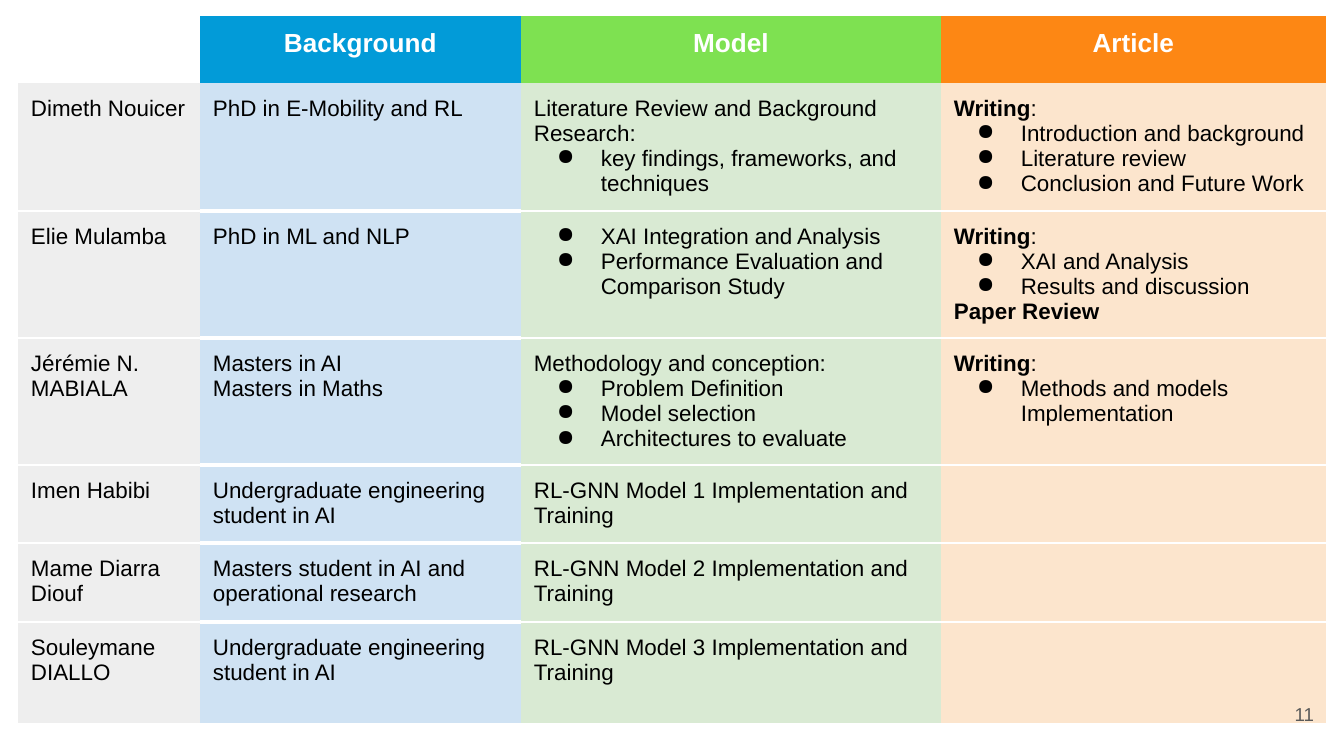
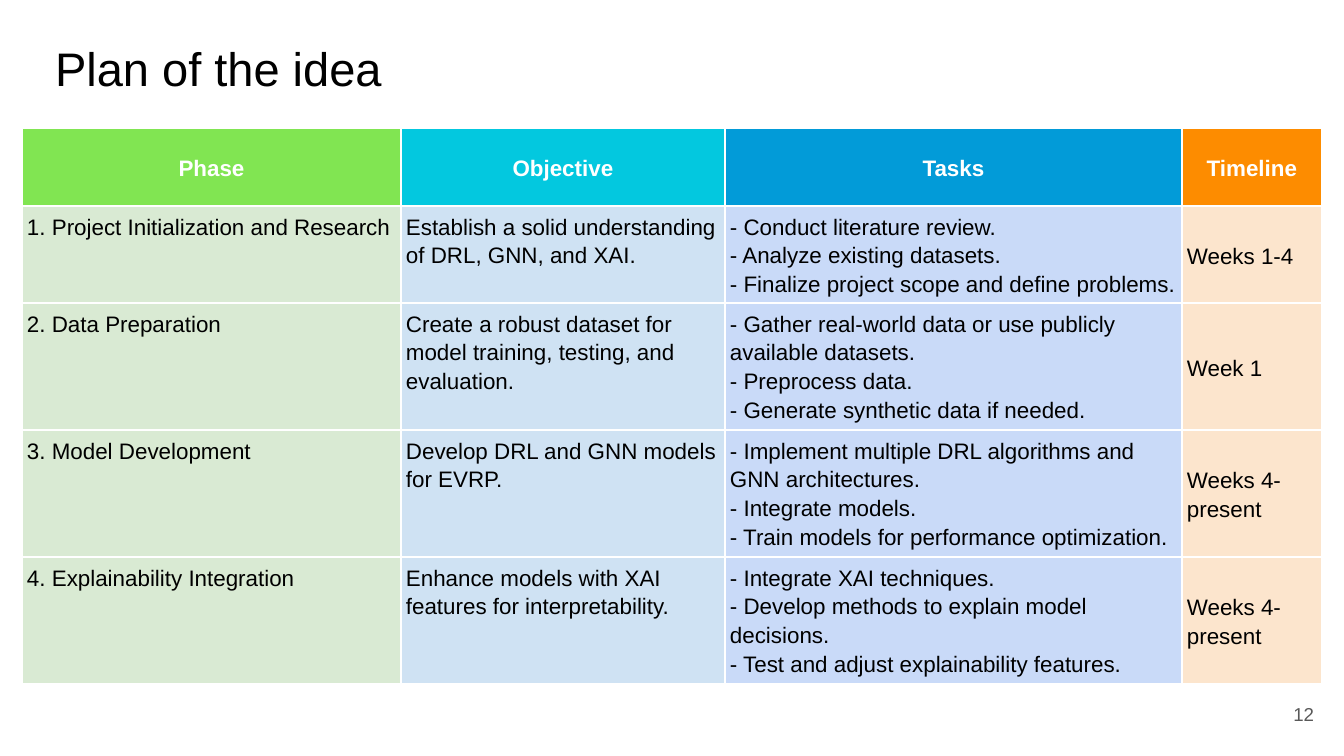
from dataclasses import dataclass

from lxml import etree
from pptx import Presentation
from pptx.dml.color import RGBColor
from pptx.enum.text import MSO_ANCHOR, PP_ALIGN
from pptx.oxml.ns import qn
from pptx.util import Pt

EMU_PER_PX = 914400 / 134.4
SLIDE_WIDTH, SLIDE_HEIGHT = 1344, 756
TITLE_ONLY_LAYOUT, BLANK_LAYOUT = 5, 6
FONT = "Arial"
NO_STYLE_NO_GRID = "{2D5ABB26-0587-4C30-8999-92F81FD0307C}"

TOP, MIDDLE = MSO_ANCHOR.TOP, MSO_ANCHOR.MIDDLE
LEFT, CENTER, RIGHT = PP_ALIGN.LEFT, PP_ALIGN.CENTER, PP_ALIGN.RIGHT

WHITE = RGBColor(0xFF, 0xFF, 0xFF)
BLACK = RGBColor(0x00, 0x00, 0x00)
NUMBER_GRAY = RGBColor(0x59, 0x59, 0x59)
BLUE = RGBColor(0x02, 0x9B, 0xD8)
CYAN = RGBColor(0x03, 0xC8, 0xDF)
MODEL_GREEN = RGBColor(0x7E, 0xE1, 0x51)
PHASE_GREEN = RGBColor(0x81, 0xE5, 0x52)
ARTICLE_ORANGE = RGBColor(0xFD, 0x87, 0x14)
TIMELINE_ORANGE = RGBColor(0xFD, 0x8C, 0x00)
PALE_GRAY = RGBColor(0xEE, 0xEE, 0xEE)
PALE_BLUE = RGBColor(0xCF, 0xE2, 0xF3)
PALE_INDIGO = RGBColor(0xC9, 0xDA, 0xF8)
PALE_GREEN = RGBColor(0xD9, 0xEA, 0xD3)
PALE_ORANGE = RGBColor(0xFC, 0xE5, 0xCD)


@dataclass(frozen=True)
class Line:
    runs: tuple
    bulleted: bool = False


def plain(*texts):
    return [Line(((text, False),)) for text in texts]


def bullets(*texts):
    return [Line(((text, False),), True) for text in texts]


def bold(text):
    return [Line(((text, True),))]


WRITING = [Line((("Writing", True), (":", False)))]

TEAM_HEADERS = ["", "Background", "Model", "Article"]
TEAM_HEADER_FILLS = [None, BLUE, MODEL_GREEN, ARTICLE_ORANGE]
TEAM_FILLS = [PALE_GRAY, PALE_BLUE, PALE_GREEN, PALE_ORANGE]
TEAM_RULES = [1.5, 2.25, 1.5, 1.5]
TEAM_WIDTHS = [182, 321, 420, 385]
TEAM_HEIGHTS = [64, 128, 127, 127, 78, 79, 101]
TEAM = [
    [
        plain("Dimeth Nouicer"),
        plain("PhD in E-Mobility and RL"),
        plain("Literature Review and Background Research:")
        + bullets("key findings, frameworks, and techniques"),
        WRITING + bullets("Introduction and background", "Literature review",
                          "Conclusion and Future Work"),
    ],
    [
        plain("Elie Mulamba"),
        plain("PhD in ML and NLP"),
        bullets("XAI Integration and Analysis",
                "Performance Evaluation and Comparison Study"),
        WRITING + bullets("XAI and Analysis", "Results and discussion")
        + bold("Paper Review"),
    ],
    [
        plain("Jérémie N. MABIALA"),
        plain("Masters in AI", "Masters in Maths"),
        plain("Methodology and conception:")
        + bullets("Problem Definition", "Model selection",
                  "Architectures to evaluate"),
        WRITING + bullets("Methods and models Implementation"),
    ],
]
IMPLEMENTERS = [
    ("Imen Habibi", "Undergraduate engineering student in AI"),
    ("Mame Diarra Diouf", "Masters student in AI and operational research"),
    ("Souleymane DIALLO", "Undergraduate engineering student in AI"),
]

PLAN_HEADERS = ["Phase", "Objective", "Tasks", "Timeline"]
PLAN_HEADER_FILLS = [PHASE_GREEN, CYAN, BLUE, TIMELINE_ORANGE]
PLAN_FILLS = [PALE_GREEN, PALE_BLUE, PALE_INDIGO, PALE_ORANGE]
PLAN_ANCHORS = [TOP, TOP, TOP, MIDDLE]
PLAN_WIDTHS = [379, 324, 457, 140]
PLAN_HEIGHTS = [78, 97, 127, 127, 127]
PLAN = [
    ("Project Initialization and Research",
     "Establish a solid understanding of DRL, GNN, and XAI.",
     ["Conduct literature review.", "Analyze existing datasets.",
      "Finalize project scope and define problems."],
     "Weeks 1-4"),
    ("Data Preparation",
     "Create a robust dataset for model training, testing, and evaluation.",
     ["Gather real-world data or use publicly available datasets.",
      "Preprocess data.", "Generate synthetic data if needed."],
     "Week 1"),
    ("Model Development",
     "Develop DRL and GNN models for EVRP.",
     ["Implement multiple DRL algorithms and GNN architectures.",
      "Integrate models.", "Train models for performance optimization."],
     "Weeks 4-present"),
    ("Explainability Integration",
     "Enhance models with XAI features for interpretability.",
     ["Integrate XAI techniques.",
      "Develop methods to explain model decisions.",
      "Test and adjust explainability features."],
     "Weeks 4-present"),
]


def px(length):
    return round(length * EMU_PER_PX)


def add_run(paragraph, text, size, color, is_bold=False):
    run = paragraph.add_run()
    run.text = text
    run.font.name = FONT
    run.font.size = Pt(size)
    run.font.bold = is_bold
    run.font.color.rgb = color


def add_bullet(paragraph):
    properties = paragraph._p.get_or_add_pPr()
    properties.set("marL", str(px(67)))
    properties.set("indent", str(px(-44)))
    tint = etree.SubElement(properties, qn("a:buClr"))
    etree.SubElement(tint, qn("a:srgbClr"), val=str(BLACK))
    etree.SubElement(properties, qn("a:buChar"), char="●")


def set_margins(target, margin):
    target.margin_left = target.margin_right = px(margin)
    target.margin_top = target.margin_bottom = px(margin)


def add_border(cell, side, width):
    edge = etree.SubElement(cell._tc.get_or_add_tcPr(), qn(f"a:ln{side}"),
                            w=str(Pt(width)))
    solid = etree.SubElement(edge, qn("a:solidFill"))
    etree.SubElement(solid, qn("a:srgbClr"), val=str(WHITE))


def fill_cell(cell, fill, margin, anchor):
    set_margins(cell, margin)
    cell.vertical_anchor = anchor
    if fill is None:
        cell.fill.background()
    else:
        cell.fill.solid()
        cell.fill.fore_color.rgb = fill


def write_lines(cell, lines, size, color, align=LEFT, spacing=None):
    frame = cell.text_frame
    for index, line in enumerate(lines):
        paragraph = frame.add_paragraph() if index else frame.paragraphs[0]
        paragraph.alignment = align
        paragraph.line_spacing = spacing
        if line.bulleted:
            add_bullet(paragraph)
        for text, is_bold in line.runs:
            add_run(paragraph, text, size, color, is_bold)


def add_grid(slide, left, top, widths, heights):
    grid = slide.shapes.add_table(len(heights), len(widths), px(left), px(top),
                                  px(sum(widths)), px(sum(heights))).table
    grid.first_row = grid.horz_banding = False
    grid._tbl.tblPr.find(qn("a:tableStyleId")).text = NO_STYLE_NO_GRID
    for column, width in zip(grid.columns, widths):
        column.width = px(width)
    for row, height in zip(grid.rows, heights):
        row.height = px(height)
    return grid


def add_header(grid, labels, fills, size, margin, anchor, spacing=None):
    for column, (label, fill) in enumerate(zip(labels, fills)):
        cell = grid.cell(0, column)
        fill_cell(cell, fill, margin, anchor)
        if label:
            write_lines(cell, bold(label), size, WHITE, CENTER, spacing)


def add_title(slide, text):
    title = slide.shapes.title
    title.left, title.top = px(42), px(26)
    title.width, title.height = px(1253), px(85)
    frame = title.text_frame
    frame.vertical_anchor = TOP
    set_margins(frame, 13)
    frame.paragraphs[0].alignment = LEFT
    add_run(frame.paragraphs[0], text, 25.2, BLACK)


def add_page_number(slide, number):
    frame = slide.shapes.add_textbox(px(1246), px(685), px(81),
                                     px(58)).text_frame
    frame.word_wrap = True
    frame.vertical_anchor = MIDDLE
    set_margins(frame, 13)
    frame.paragraphs[0].alignment = RIGHT
    add_run(frame.paragraphs[0], str(number), 10, NUMBER_GRAY)


def add_team_table(slide):
    members = TEAM + [
        [plain(name), plain(background),
         plain(f"RL-GNN Model {number} Implementation and Training"), []]
        for number, (name, background) in enumerate(IMPLEMENTERS, 1)
    ]
    grid = add_grid(slide, 18, 16, TEAM_WIDTHS, TEAM_HEIGHTS)
    add_header(grid, TEAM_HEADERS, TEAM_HEADER_FILLS, 14, 13, TOP)
    for row, member in enumerate(members, 1):
        for column, lines in enumerate(member):
            cell = grid.cell(row, column)
            if row > 1:
                add_border(cell, "T", TEAM_RULES[column])
            if row < len(members):
                add_border(cell, "B", TEAM_RULES[column])
            fill_cell(cell, TEAM_FILLS[column], 13, TOP)
            write_lines(cell, lines, 12, BLACK)


def add_plan_table(slide):
    grid = add_grid(slide, 22, 128, PLAN_WIDTHS, PLAN_HEIGHTS)
    for cell in grid.iter_cells():
        for side in "LRTB":
            add_border(cell, side, 0.75)
    add_header(grid, PLAN_HEADERS, PLAN_HEADER_FILLS, 12, 5, MIDDLE, 1.15)
    for row, (phase, objective, tasks, timeline) in enumerate(PLAN, 1):
        contents = [plain(f"{row}. {phase}"), plain(objective),
                    plain(*(f"- {task}" for task in tasks)), plain(timeline)]
        for column, lines in enumerate(contents):
            cell = grid.cell(row, column)
            fill_cell(cell, PLAN_FILLS[column], 5, PLAN_ANCHORS[column])
            write_lines(cell, lines, 12, BLACK, spacing=1.15)


def main():
    deck = Presentation()
    deck.slide_width, deck.slide_height = px(SLIDE_WIDTH), px(SLIDE_HEIGHT)

    team_slide = deck.slides.add_slide(deck.slide_layouts[BLANK_LAYOUT])
    add_team_table(team_slide)
    add_page_number(team_slide, 11)

    plan_slide = deck.slides.add_slide(deck.slide_layouts[TITLE_ONLY_LAYOUT])
    add_title(plan_slide, "Plan of the idea")
    add_plan_table(plan_slide)
    add_page_number(plan_slide, 12)

    deck.save("out.pptx")


if __name__ == "__main__":
    main()
